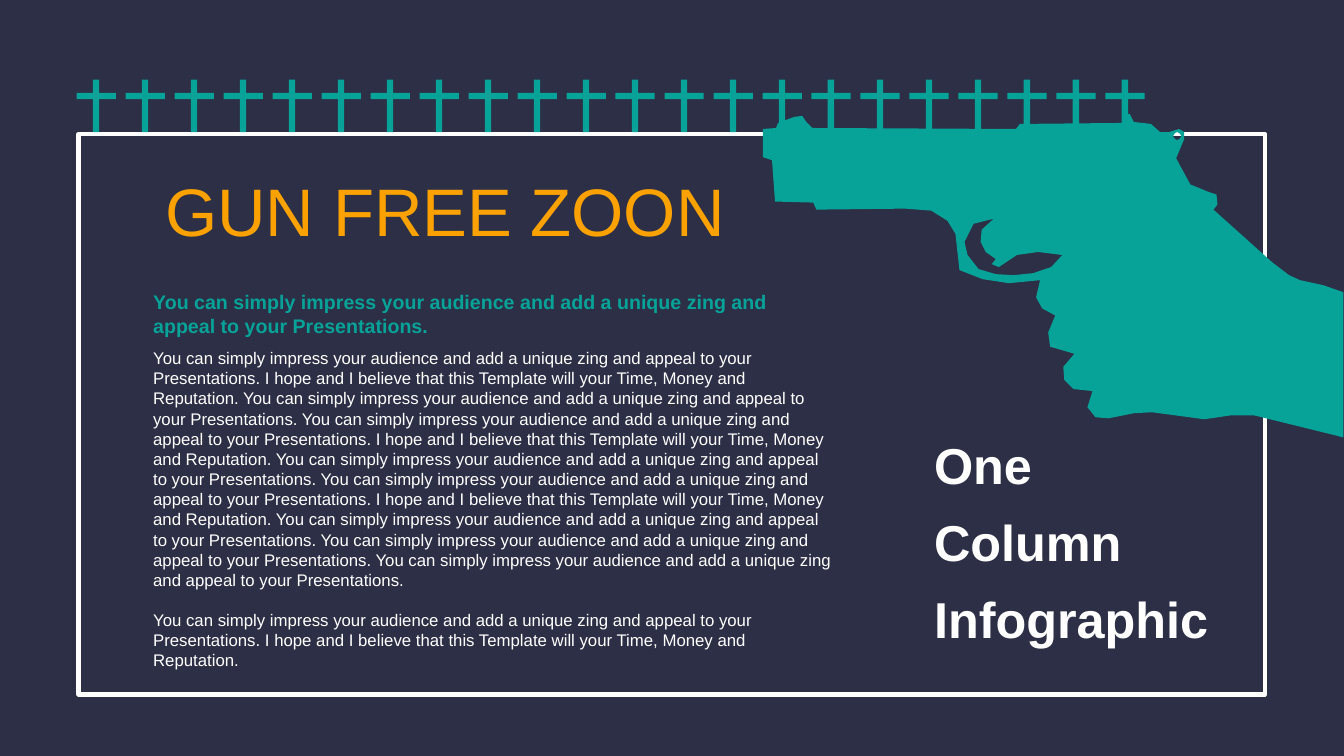
from math import cos, pi, sin

from pptx import Presentation
from pptx.dml.color import RGBColor
from pptx.enum.shapes import MSO_SHAPE as Kind
from pptx.enum.text import MSO_ANCHOR as Anchor, MSO_AUTO_SIZE as Fit, PP_ALIGN as Align
from pptx.util import Cm, Pt

NAVY = RGBColor(0x2C, 0x2F, 0x45)
TEAL = RGBColor(0x07, 0xA3, 0x98)
GOLD = RGBColor(0xFB, 0xA2, 0x00)
WHITE = RGBColor(0xFF, 0xFF, 0xFF)

# Outline corners in hundredths of an inch
HAND = [
    (1333, 290), (1313, 283), (1290, 278), (1279, 273), (1262, 260), (1204, 208),
    (1208, 203), (1207, 193), (1198, 190), (1181, 183), (1167, 157), (1175, 138),
    (1175, 131), (1170, 128), (1160, 131), (1151, 131), (1142, 123), (1125, 121),
    (1121, 113), (1116, 114), (1113, 122), (1012, 123), (1008, 128), (806, 127),
    (800, 121), (796, 115), (788, 116), (772, 122), (770, 127), (757, 128),
    (757, 156), (766, 159), (769, 200), (807, 201), (810, 208), (898, 207),
    (924, 209), (940, 219), (948, 232), (952, 268), (975, 277), (1001, 281),
    (1032, 278), (1028, 295), (1034, 306), (1047, 313), (1040, 330), (1042, 344),
    (1066, 351), (1055, 364), (1056, 377), (1065, 386), (1084, 388), (1079, 404),
    (1087, 414), (1100, 415), (1125, 410), (1143, 409), (1195, 416), (1222, 412),
    (1244, 412), (1321, 431), (1333, 434)]
GUARD = [
    (1054, 253), (1043, 265), (1025, 271), (1006, 273), (988, 272), (971, 267),
    (960, 253), (957, 240), (966, 222), (986, 217), (974, 228), (973, 240),
    (978, 250), (988, 257), (984, 262), (991, 265), (1009, 253), (1030, 250)]
RING = [(1168 + 4 * cos(k * pi / 6), 135 + 4 * sin(k * pi / 6)) for k in range(12)]

LEAD = "You can simply impress your audience and add a unique zing and appeal to your Presentations."
HOPE = "I hope and I believe that this Template will your Time, Money and Reputation."
PAIR = f"{LEAD} {HOPE}"
BODY = " ".join([PAIR, LEAD, PAIR, LEAD, PAIR, LEAD, LEAD, LEAD])


def paint(shape, color):
    shape.shadow.inherit = False
    shape.fill.solid()
    shape.fill.fore_color.rgb = color
    shape.line.fill.background()


deck = Presentation()
deck.slide_width, deck.slide_height = Cm(33.87), Cm(19.05)
slide = deck.slides.add_slide(deck.slide_layouts[6])
slide.background.fill.solid()
slide.background.fill.fore_color.rgb = NAVY
shapes = slide.shapes

# White frame
frame = shapes.add_shape(Kind.RECTANGLE, Cm(1.98), Cm(3.38), Cm(29.9), Cm(14.12))
frame.shadow.inherit = False
frame.fill.background()
frame.line.color.rgb = WHITE
frame.line.width = Pt(3)

# Hand with gun, with the two holes cut out
pen = shapes.build_freeform(*HAND[0], scale=Cm(2.54) / 100)
pen.add_line_segments(HAND[1:])
for hole in (GUARD, RING):
    pen.move_to(*hole[0])
    pen.add_line_segments(hole[1:])
paint(pen.convert_to_shape(), TEAL)

# Row of crosses
COUNT, START, END = 22, 1.93, 27.86
for n in range(COUNT):
    left = START + n * (END - START) / (COUNT - 1)
    cross = shapes.add_group_shape()
    for x, y, w, h in ((left + 0.41, 2.01, 0.16, 1.32), (left, 2.34, 0.99, 0.16)):
        paint(cross.shapes.add_shape(Kind.RECTANGLE, Cm(x), Cm(y), Cm(w), Cm(h)), TEAL)

# Texts: box, lines, font, colour, paragraph and frame formats
grow = {"auto_size": Fit.SHAPE_TO_FIT_TEXT}
texts = [
    ((3.61, 8.64, 17.63, 7.95), [BODY, PAIR],
     {"size": Pt(12)}, WHITE, {"space_after": Pt(14.4)}, grow),
    ((23.29, 10.72, 7.62, 5.69), ["One", "Column", "Infographic"],
     {"size": Pt(36), "bold": True}, WHITE,
     {"line_spacing": 1.1, "space_before": Pt(7.2)}, {"vertical_anchor": Anchor.MIDDLE}),
    ((3.61, 7.19, 17.63, 1.45), [LEAD],
     {"size": Pt(14), "bold": True}, TEAL, {}, grow),
    ((3.23, 4.14, 15.98, 2.31), ["GUN FREE ZOON"],
     {"size": Pt(48)}, GOLD, {"alignment": Align.CENTER}, grow),
]
for box, lines, font, color, para, body in texts:
    text = shapes.add_textbox(*map(Cm, box)).text_frame
    text.text = "\n".join(lines)
    for key, val in {"word_wrap": True, **body}.items():
        setattr(text, key, val)
    for par in text.paragraphs:
        for key, val in para.items():
            setattr(par, key, val)
        run = par.runs[0].font
        for key, val in {"name": "Arial", **font}.items():
            setattr(run, key, val)
        run.color.rgb = color

deck.save("out.pptx")
